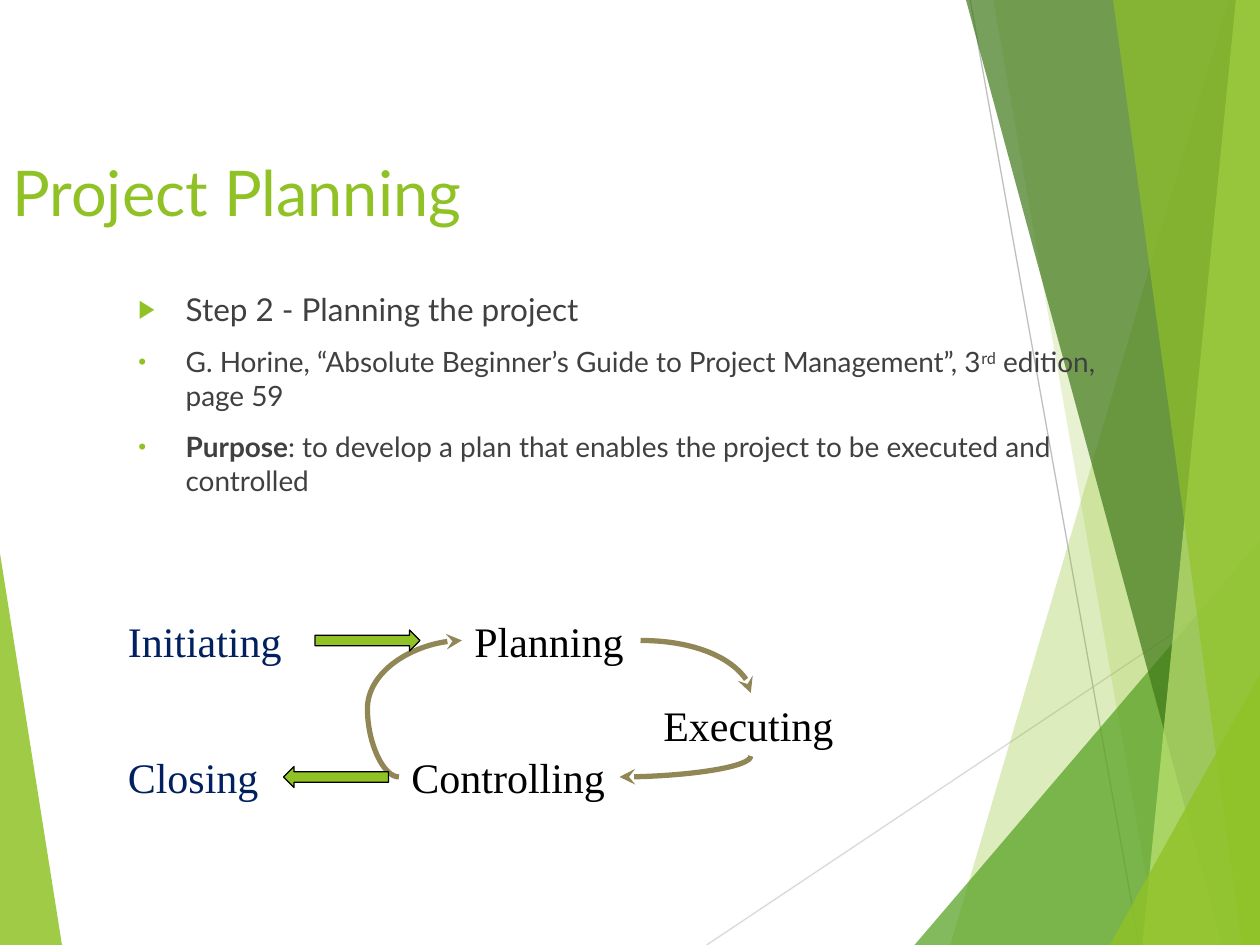
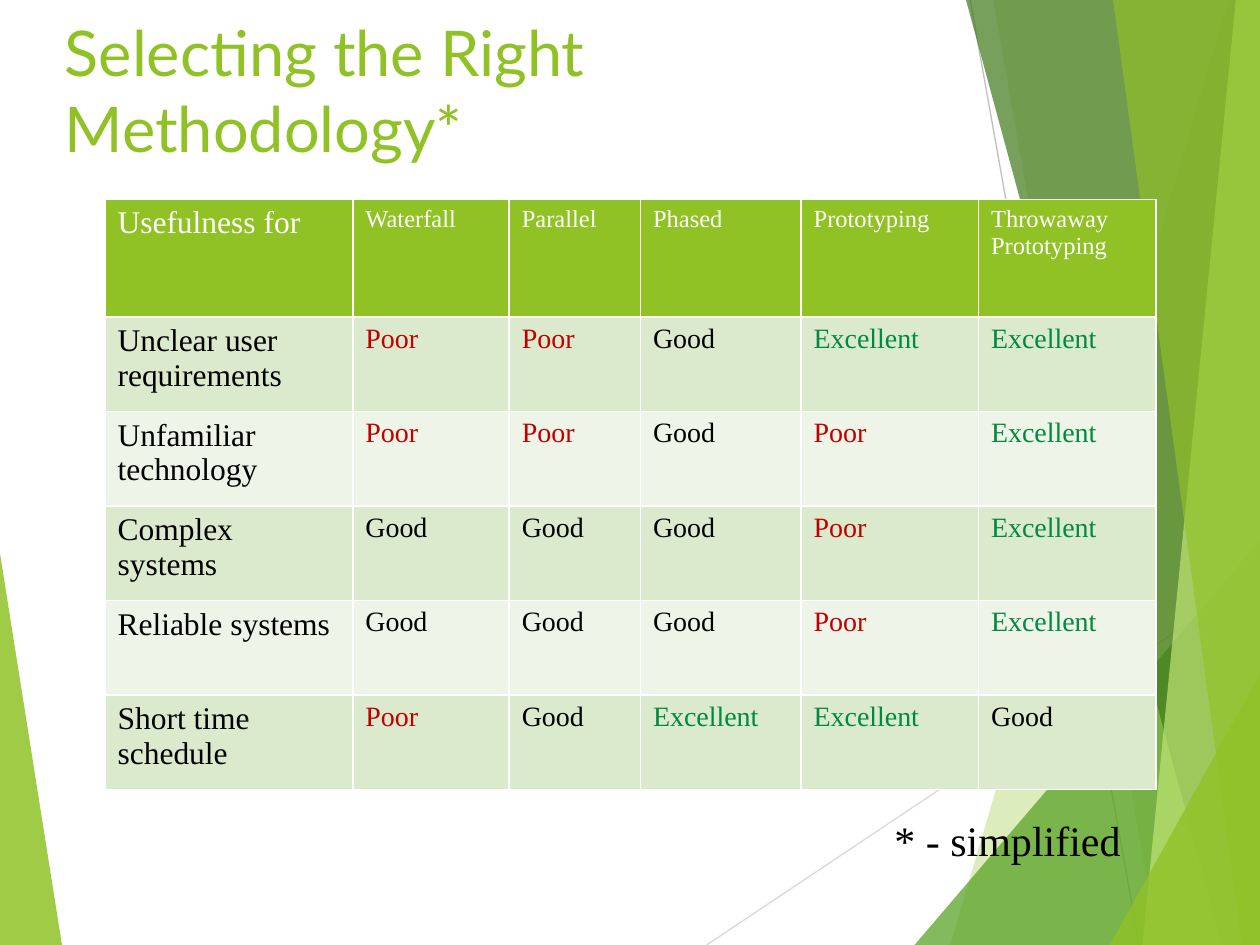
from lxml import etree
from pptx import Presentation
from pptx.dml.color import RGBColor
from pptx.enum.shapes import MSO_CONNECTOR, MSO_SHAPE
from pptx.enum.text import MSO_AUTO_SIZE
from pptx.oxml.ns import qn
from pptx.util import Inches, Pt

STRAIGHT, CURVE = MSO_CONNECTOR.STRAIGHT, MSO_CONNECTOR.CURVE
RIGHT_ARROW, LEFT_ARROW = MSO_SHAPE.RIGHT_ARROW, MSO_SHAPE.LEFT_ARROW
FIT_SHAPE = MSO_AUTO_SIZE.SHAPE_TO_FIT_TEXT

LIME = RGBColor(0x90, 0xC2, 0x26)
PALE_LIME = RGBColor(0xC0, 0xE4, 0x74)
GREEN = RGBColor(0x54, 0xA0, 0x21)
FOREST = RGBColor(0x3F, 0x78, 0x19)
LIGHT_GREY = RGBColor(0xD9, 0xD9, 0xD9)
GREY = RGBColor(0xBF, 0xBF, 0xBF)
CHARCOAL = RGBColor(0x40, 0x40, 0x40)
BLACK = RGBColor(0x00, 0x00, 0x00)
WHITE = RGBColor(0xFF, 0xFF, 0xFF)
NAVY = RGBColor(0x00, 0x20, 0x60)
KHAKI = RGBColor(0x91, 0x86, 0x55)
RED = RGBColor(0xC0, 0x00, 0x00)
EMERALD = RGBColor(0x00, 0x8A, 0x3E)
BAND_DARK = RGBColor(0xDB, 0xE9, 0xCD)
BAND_LIGHT = RGBColor(0xEE, 0xF4, 0xE8)

COLUMNS, ROWS = 120, 90
SANS, SERIF = "Lato", "Times New Roman"
TITLE = {"name": SANS, "size": Pt(36)}
LABEL = {"name": SERIF, "size": Pt(24)}
RATING_COLORS = {"Poor": RED, "Good": BLACK, "Excellent": EMERALD}

# Each facet: top column, top row, bottom column, slide edge, colour, opacity
LEFT_FACET = (0, 52.7, 5.9, 0, LIME, 85)
RIGHT_FACETS = [
    (117, 0, 90.5, COLUMNS, LIME, 30),
    (94.6, 0, 110.3, COLUMNS, LIME, 20),
    (120, 51.5, 87.1, COLUMNS, GREEN, 72),
    (92, 0, 116.4, COLUMNS, FOREST, 70),
    (117.7, 0, 108.8, COLUMNS, PALE_LIME, 70),
    (106, 0, 118.3, COLUMNS, LIME, 65),
    (120, 64.2, 105.7, COLUMNS, LIME, 80),
]


class Deck:
    """Hold the shared style and the slide being filled, on a 120 by 90 grid."""

    def __init__(self):
        self.presentation = Presentation()
        self.presentation.slide_width = Inches(10)
        self.presentation.slide_height = Inches(7.5)
        self.unit = self.presentation.slide_width / COLUMNS
        self.slide = None

    def grid(self, *lengths):
        return [round(length * self.unit) for length in lengths]

    def add_slide(self, title, box):
        layout = self.presentation.slide_layouts[6]
        self.slide = self.presentation.slides.add_slide(layout)
        self.facet(*LEFT_FACET)
        self.line(STRAIGHT, (67.3, 90, 120, 54.8), LIGHT_GREY, 0.75)
        self.line(STRAIGHT, (92.4, 0, 108.5, 90), GREY, 0.75)
        for facet in RIGHT_FACETS:
            self.facet(*facet)
        self.text(title, box, TITLE, LIME)

    def facet(self, top_column, top_row, bottom_column, edge, color, opacity):
        start = self.grid(top_column, top_row)
        corners = [(bottom_column, ROWS), (edge, ROWS), (edge, top_row)]
        builder = self.slide.shapes.build_freeform(*start)
        builder.add_line_segments([self.grid(*corner) for corner in corners])
        shape = builder.convert_to_shape()
        self.paint(shape, color)
        shape.line.fill.background()
        fill = shape._element.spPr.find(qn("a:solidFill"))
        etree.SubElement(fill[0], qn("a:alpha"), val=str(opacity * 1000))

    def paint(self, shape, color):
        shape.shadow.inherit = False
        shape.fill.solid()
        shape.fill.fore_color.rgb = color

    def line(self, kind, ends, color, width):
        connector = self.slide.shapes.add_connector(kind, *self.grid(*ends))
        connector.line.color.rgb = color
        connector.line.width = Pt(width)
        etree.SubElement(connector._element.spPr, qn("a:effectLst"))
        return connector

    def curve(self, ends, preset, turned=False, bend=None):
        left, top, right, bottom = ends
        if turned:
            middle, center = (left + right) / 2, (top + bottom) / 2
            across, down = abs(bottom - top) / 2, abs(right - left) / 2
            ends = (middle - across, center - down, middle + across, center + down)
        connector = self.line(CURVE, ends, KHAKI, 3)
        properties = connector._element.spPr
        if turned:
            properties.find(qn("a:xfrm")).set("rot", "5400000")
        geometry = properties.find(qn("a:prstGeom"))
        geometry.set("prst", preset)
        if bend is not None:
            guides = geometry.find(qn("a:avLst"))
            etree.SubElement(guides, qn("a:gd"), name="adj1", fmla=f"val {bend}")
        outline = properties.find(qn("a:ln"))
        etree.SubElement(outline, qn("a:tailEnd"), type="stealth")

    def arrow(self, kind, box):
        shape = self.slide.shapes.add_shape(kind, *self.grid(*box))
        self.paint(shape, LIME)
        shape.line.color.rgb = BLACK
        shape.line.width = Pt(0.75)

    def run(self, paragraph, text, formats, color):
        run = paragraph.add_run()
        run.text = text
        for name, value in formats.items():
            setattr(run.font, name, value)
        run.font.color.rgb = color
        return run

    def frame(self, box):
        frame = self.slide.shapes.add_textbox(*self.grid(*box)).text_frame
        frame.word_wrap = True
        return frame

    def text(self, text, box, formats, color):
        self.run(self.frame(box).paragraphs[0], text, formats, color)

    def label(self, text, box, color=BLACK):
        frame = self.frame(box)
        frame.auto_size = FIT_SHAPE
        self.run(frame.paragraphs[0], text, LABEL, color)

    def bullets(self, items, box):
        frame = self.frame(box)
        for index, (level, mark, size, parts) in enumerate(items):
            paragraph = frame.add_paragraph() if index else frame.paragraphs[0]
            paragraph.level = level
            paragraph.space_before = Pt(10)
            self.bullet(paragraph, mark)
            for text, extra in parts:
                formats = {"name": SANS, "size": Pt(size), "bold": extra == "bold"}
                run = self.run(paragraph, text, formats, CHARCOAL)
                if extra == "raised":
                    run._r.get_or_add_rPr().set("baseline", "30000")

    def bullet(self, paragraph, mark):
        properties = paragraph._p.get_or_add_pPr()
        indent, = self.grid(4.5)
        properties.set("marL", str(indent))
        properties.set("indent", str(-indent))
        color = etree.SubElement(properties, qn("a:buClr"))
        etree.SubElement(color, qn("a:srgbClr"), val=str(LIME))
        etree.SubElement(properties, qn("a:buSzPct"), val="80000")
        etree.SubElement(properties, qn("a:buFont"), typeface="Arial")
        etree.SubElement(properties, qn("a:buChar"), char=mark)

    def table(self, rows, origin, widths, heights):
        box = self.grid(*origin, sum(widths), sum(heights))
        table = self.slide.shapes.add_table(len(rows), len(widths), *box).table
        for column, width in zip(table.columns, self.grid(*widths)):
            column.width = width
        for row, height in zip(table.rows, self.grid(*heights)):
            row.height = height
        for row_index, texts in enumerate(rows):
            band = BAND_DARK if row_index % 2 else BAND_LIGHT
            for column_index, text in enumerate(texts):
                cell = table.cell(row_index, column_index)
                cell.fill.solid()
                cell.fill.fore_color.rgb = band if row_index else LIME
                size = 18 if column_index == 0 else 16 if row_index else 14
                color = RATING_COLORS.get(text, BLACK) if row_index else WHITE
                formats = {"name": SERIF, "size": Pt(size), "bold": False}
                self.run(cell.text_frame.paragraphs[0], text, formats, color)


deck = Deck()

deck.add_slide("Project Planning", (0, 14, 120, 11))
deck.bullets([
    (0, "▶", 18, [("Step 2 - Planning the project", "")]),
    (1, "•", 16, [
        ("G. Horine, “Absolute Beginner’s Guide to Project Management”, 3", ""),
        ("rd", "raised"),
        (" edition, page 59", ""),
    ]),
    (1, "•", 16, [
        ("Purpose", "bold"),
        (": to develop a plan that enables the project to be executed and controlled", ""),
    ]),
], (12, 27, 99, 25))
deck.label("Planning", (44, 58, 17, 6))
deck.label("Executing", (62, 66, 19, 6))
deck.label("Controlling", (38, 71, 21, 6))
deck.curve((61, 61, 71.5, 66), "curvedConnector2")
deck.curve((71.5, 72, 59, 74), "curvedConnector2", turned=True)
deck.curve((38, 74, 44, 61), "curvedConnector3", bend=-50000)
deck.label("Initiating", (11, 58, 19, 6), NAVY)
deck.label("Closing", (11, 71, 19, 6), NAVY)
deck.arrow(RIGHT_ARROW, (30, 60, 10, 2))
deck.arrow(LEFT_ARROW, (27, 73, 10, 2))

deck.add_slide("Selecting the Right Methodology*", (5, 0.7, 83.3, 17.3))
deck.table([
    ("Usefulness for", "Waterfall", "Parallel", "Phased", "Prototyping",
     "Throwaway Prototyping"),
    ("Unclear user requirements", "Poor", "Poor", "Good", "Excellent", "Excellent"),
    ("Unfamiliar technology", "Poor", "Poor", "Good", "Poor", "Excellent"),
    ("Complex systems", "Good", "Good", "Good", "Poor", "Excellent"),
    ("Reliable systems", "Good", "Good", "Good", "Poor", "Excellent"),
    ("Short time schedule", "Poor", "Good", "Excellent", "Excellent", "Good"),
], (10, 19), (23.6, 14.9, 12.5, 15.3, 16.9, 16.9), [11.2] + [9] * 5)
deck.label("* - simplified", (84, 77, 27, 6))

deck.presentation.save("out.pptx")
